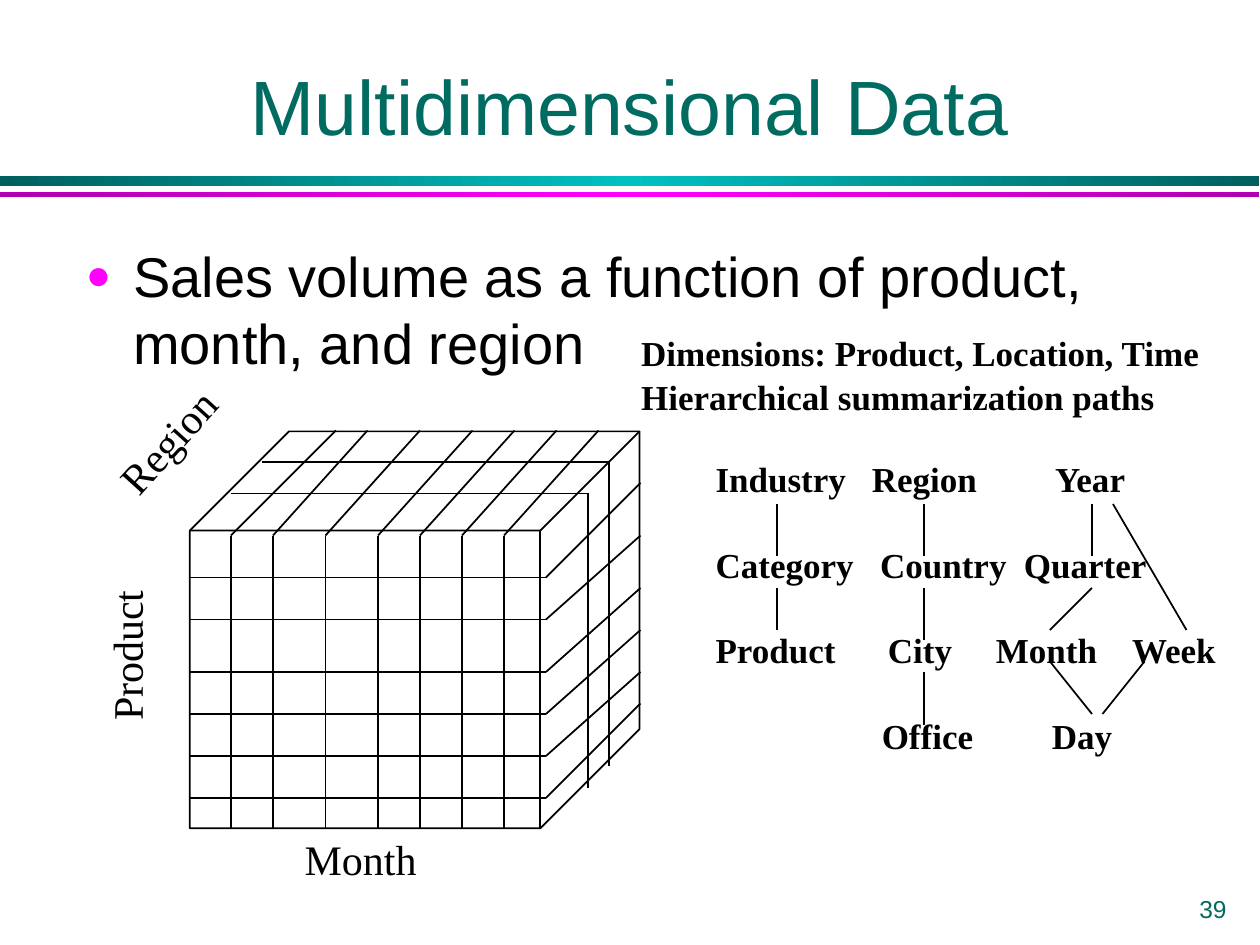
from copy import deepcopy
from pptx import Presentation
from pptx.dml.color import RGBColor
from pptx.enum import shapes, text
from pptx.oxml.ns import qn
from pptx.util import Pt

BLACK, GREEN, MAGENTA = "000000", "006B61", "FF00FF"
SANS, SERIF = "Arial", "Times New Roman"
rgb = RGBColor.from_string

prs = Presentation()
prs.slide_width, prs.slide_height = Pt(720), Pt(540)
s = prs.slides.add_slide(prs.slide_layouts[6])


def add_text(paras, x, y, w, h, size, font=SERIF, color=BLACK, bold=False,
             align=text.PP_ALIGN.LEFT, anchor=text.MSO_ANCHOR.TOP,
             wrap=True, rotation=0, after=0):
    sp = s.shapes.add_textbox(Pt(x), Pt(y), Pt(w), Pt(h))
    sp.rotation = rotation
    tf = sp.text_frame
    tf.word_wrap, tf.vertical_anchor = wrap, anchor
    for i, words in enumerate(paras):
        p = tf.paragraphs[0] if i == 0 else tf.add_paragraph()
        p.alignment, p.space_after = align, Pt(after)
        r = p.add_run()
        r.text = words
        r.font.size, r.font.name, r.font.bold = Pt(size), font, bold
        r.font.color.rgb = rgb(color)
    return tf


def add_line(x1, y1, x2, y2):
    ln = s.shapes.add_connector(shapes.MSO_CONNECTOR.STRAIGHT,
                                Pt(x1), Pt(y1), Pt(x2), Pt(y2))
    ln.line.color.rgb = rgb(BLACK)
    ln.line.width = Pt(1)
    ln._element.spPr.add_effectLst() if hasattr(ln._element.spPr, "add_effectLst") \
        else ln._element.spPr.get_or_add_effectLst()


# Gradient bars under the title
for y, h, edge, middle in [(100.8, 5.6, "005F5F", "00C0C0"),
                           (109.6, 3, "B100B1", MAGENTA)]:
    sp = s.shapes.add_shape(shapes.MSO_SHAPE.RECTANGLE, 0, Pt(y), Pt(719.5), Pt(h))
    sp.shadow.inherit = False
    sp.line.fill.background()
    sp.fill.gradient()
    sp.fill.gradient_angle = 0
    stops = sp._element.spPr.find(".//" + qn("a:gsLst"))
    stops.insert(1, deepcopy(stops[0]))
    for stop, pos, color in zip(sp.fill.gradient_stops, (0, 0.5, 1),
                                (edge, middle, edge)):
        stop.position = pos
        stop.color.rgb = rgb(color)

# Title and bullet
add_text(["Multidimensional Data"], 54, 18, 612, 72, 44, SANS, GREEN,
         align=text.PP_ALIGN.CENTER, anchor=text.MSO_ANCHOR.BOTTOM)
tf = add_text(["Sales volume as a function of product, month, and region"],
              42, 134.6, 624, 343, 32, SANS)
p = tf.paragraphs[0]
p.space_before = Pt(8)
pPr = p._p.get_or_add_pPr()
pPr.set("marL", str(Pt(27)))
pPr.set("indent", str(Pt(-27)))
buClr = pPr.makeelement(qn("a:buClr"), {})
buClr.append(buClr.makeelement(qn("a:srgbClr"), {"val": MAGENTA}))
pPr.append(buClr)
for tag, attrs in [("a:buSzPct", {"val": "75000"}), ("a:buFont", {"typeface": SANS}),
                   ("a:buChar", {"char": "●"})]:
    pPr.append(pPr.makeelement(qn(tag), attrs))

# Data cube
sp = s.shapes.add_shape(shapes.MSO_SHAPE.CUBE, Pt(108.5), Pt(246.5), Pt(257), Pt(226.8))
sp.shadow.inherit = False
sp.fill.background()
sp.line.color.rgb = rgb(BLACK)
sp.line.width = Pt(1)

# Product slices: across the front, then back along the side
for y, back_y in zip((330, 354, 384, 408, 432, 456), (276, 306, 336, 360, 384, 402)):
    add_line(108, y, 312, y)
    add_line(312, y, 366, back_y)
# Month slices: down the front, then back along the top
for x, back_x in zip((132, 156, 186, 216, 240, 264, 288),
                     (192, 210, 240, 270, 294, 318, 342)):
    add_line(x, 306, x, 474)
    add_line(x, 306, back_x, 246)
# Region slices: across the top, then down the side
for x1, x2, y, bottom in [(150, 348, 264, 438), (132, 336, 282, 450)]:
    add_line(x1, y, x2, y)
    add_line(x2, y, x2, bottom)

# Cube axes
add_text(["Product"], 27.4, 356.4, 89.3, 36, 24, wrap=False, rotation=270)
add_text(["Region"], 54, 234, 83.5, 36, 24, rotation=312)
add_text(["Month"], 167, 473, 78.5, 36, 24, wrap=False)

# Dimension hierarchies, one level per paragraph
add_text(["Dimensions: Product, Location, Time", "Hierarchical summarization paths"],
         359.3, 185.8, 334.8, 55.4, 20, bold=True, wrap=False, after=1)
levels = [("Industry\tRegion\tYear", (89.3, 194)),
          ("Category\tCountry\tQuarter", (94, 176.2)),
          ("Product\tCity\tMonth\tWeek", (98.5, 160.2, 238)),
          ("\tOffice\tDay", (95, 192.2))]
tf = add_text([words for words, _ in levels], 401.8, 257.8, 302.4, 175.7, 20,
              bold=True, after=25)
for p, (_, tabs) in zip(tf.paragraphs, levels):
    pPr = p._p.get_or_add_pPr()
    tabLst = pPr.makeelement(qn("a:tabLst"), {})
    for pos in tabs:
        tabLst.append(tabLst.makeelement(qn("a:tab"), {"pos": str(Pt(pos)), "algn": "l"}))
    pPr.append(tabLst)

# Links between levels
for link in [(444, 288, 444, 318), (444, 336, 444, 360),
             (528, 288, 528, 318), (528, 336, 528, 366), (528, 384, 528, 414),
             (624, 288, 624, 318), (624, 336, 600, 360), (636, 288, 678, 360),
             (600, 378, 624, 408), (654, 378, 630, 408)]:
    add_line(*link)

# Slide number
add_text(["39"], 648, 510, 60, 18, 14, SANS, GREEN,
         align=text.PP_ALIGN.RIGHT, anchor=text.MSO_ANCHOR.MIDDLE)

prs.save("out.pptx")
